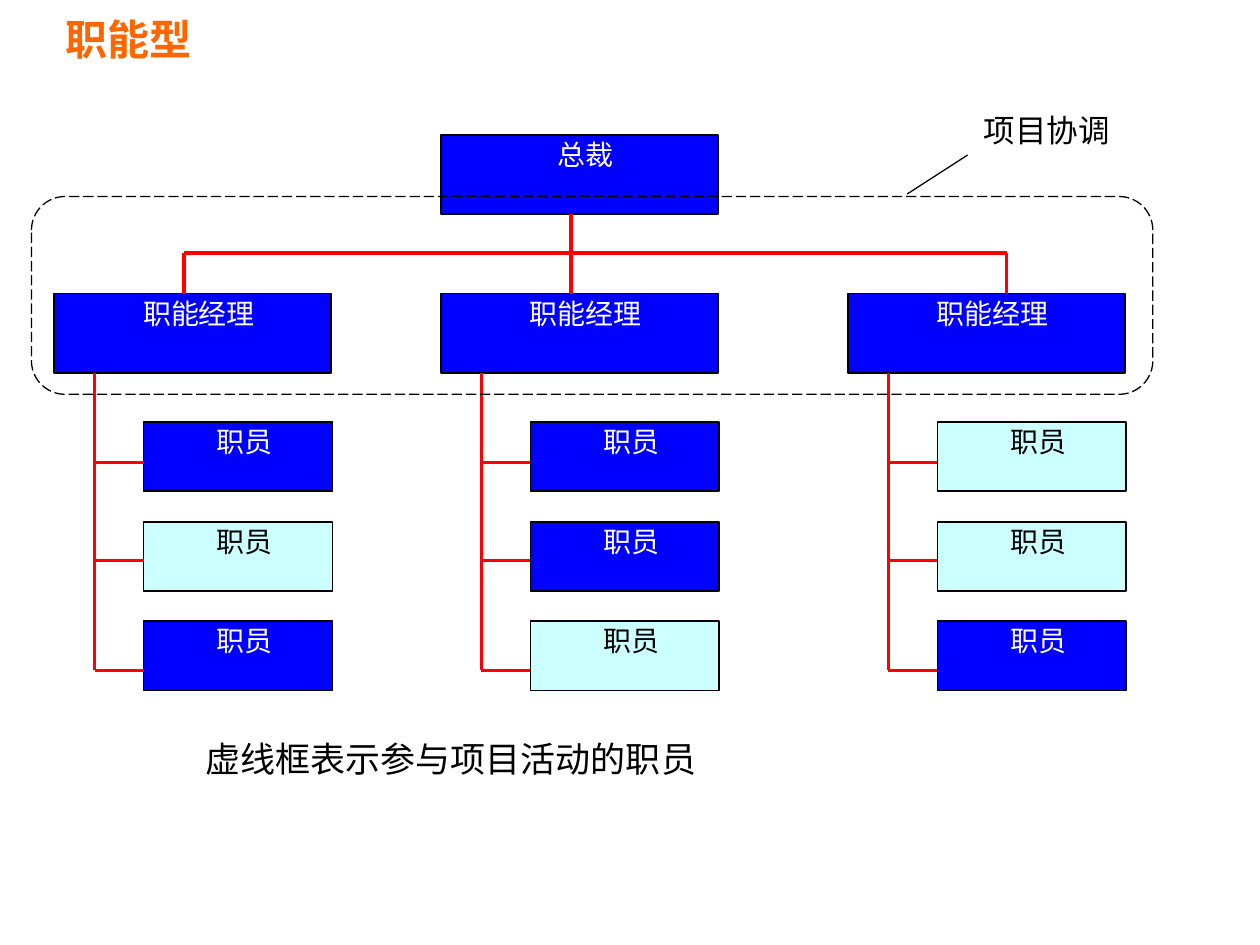
from dataclasses import dataclass
from pptx import Presentation as Deck
from pptx.dml.color import RGBColor as RGB
from pptx.enum.dml import MSO_LINE as Dash
from pptx.enum.shapes import MSO_CONNECTOR as Link, MSO_SHAPE as Form
from pptx.enum.text import MSO_ANCHOR as Anchor, PP_ALIGN as Align
from pptx.oxml.ns import qn
from pptx.util import Inches as In, Pt


@dataclass(frozen=True)
class Theme:
    blue: RGB = RGB(0, 0, 255)
    pale: RGB = RGB(204, 255, 255)
    red: RGB = RGB(255, 0, 0)
    gold: RGB = RGB(255, 102, 0)
    black: RGB = RGB(0, 0, 0)
    white: RGB = RGB(255, 255, 255)
    font: str = "Arial"
    alt: str = "Roboto"
    head: int = 24
    note: int = 20
    label: int = 18
    body: int = 16


look = Theme()
deck = Deck()
deck.slide_width, deck.slide_height = In(10), In(7.5)
page = deck.slides.add_slide(deck.slide_layouts[6])
items = page.shapes


def write(shape, text, size, color, pads, align=Align.LEFT, font=look.font):
    """Put one run of text in a shape and return its paragraph."""
    frame = shape.text_frame
    frame.word_wrap = True
    frame.vertical_anchor = Anchor.TOP
    (frame.margin_left, frame.margin_top,
     frame.margin_right, frame.margin_bottom) = map(In, pads)
    par = frame.paragraphs[0]
    par.alignment = align
    run = par.add_run()
    run.text = text
    run.font.size = Pt(size)
    run.font.name = font
    run.font.color.rgb = color
    return par


def draw(x1, y1, x2, y2, color=look.red, width=2):
    """Draw a straight line without a shadow."""
    line = items.add_connector(Link.STRAIGHT, *map(In, (x1, y1, x2, y2)))
    line.line.color.rgb = color
    line.line.width = Pt(width)
    props = line._element.spPr
    props.append(props.makeelement(qn("a:effectLst"), {}))


# Grid: three columns, one row of managers, three rows of staff
cols = [0.43, 3.5, 6.73]
wide, high = 2.2, 0.63
top, mid, bar = 1.07, 2.33, 2.01
inset, small, low = 0.71, 1.5, 0.55
rows = [3.35 + 0.79 * i for i in range(3)]
stem, drop = 0.32, 1.03
joins = [3.67, 4.45, 5.32]
tones = ["BPB", "BBP", "PPB"]

# Boxes: president, managers, then staff by column
boxes = [("总裁", cols[1], top, wide, high, "B")]
boxes += [("职能经理", x, mid, wide, high, "B") for x in cols]
boxes += [("职员", x + inset, y, small, low, tone)
          for x, marks in zip(cols, tones) for y, tone in zip(rows, marks)]
for text, x, y, w, h, tone in boxes:
    box = items.add_shape(Form.RECTANGLE, *map(In, (x, y, w, h)))
    box.shadow.inherit = False
    box.fill.solid()
    box.fill.fore_color.rgb = look.blue if tone == "B" else look.pale
    box.line.color.rgb = look.black
    box.line.width = Pt(1)
    ink = look.white if tone == "B" else look.black
    write(box, text, look.body, ink, (0.12, 0.02, 0.02, 0.02), Align.CENTER)

# Links from president to managers
draw(cols[1] + drop, top + high, cols[1] + drop, mid)
draw(cols[0] + drop, bar, cols[2] + 1.26, bar)
for x in (cols[0] + drop, cols[2] + 1.26):
    draw(x, bar, x, mid)

# Links from managers to staff
for x in cols:
    draw(x + stem, mid + high, x + stem, joins[-1])
    for y in joins:
        draw(x + stem, y, x + inset, y)

# Dashed frame with its pointer and label
draw(7.2, 1.54, 7.68, 1.23, look.black, 0.75)
ring = items.add_shape(Form.ROUNDED_RECTANGLE, *map(In, (0.25, 1.56, 8.9, 1.57)))
ring.adjustments[0] = 0.17
ring.shadow.inherit = False
ring.fill.background()
ring.line.color.rgb = look.black
ring.line.width = Pt(0.75)
ring.line.dash_style = Dash.LONG_DASH
label = items.add_textbox(*map(In, (7.68, 0.83, 1.26, 0.4)))
write(label, "项目协调", look.label, look.black, (0.1, 0.05, 0.1, 0.05),
      Align.CENTER, look.alt)

# Title
title = items.add_textbox(*map(In, (0.42, 0, 4.58, 0.62)))
par = write(title, "职能型", look.head, look.gold, (0.1, 0.05, 0.1, 0.05))
par.runs[0].font.bold = True
title.text_frame.vertical_anchor = Anchor.MIDDLE

# Note below the chart
note = items.add_textbox(*map(In, (1.58, 5.75, 6.83, 0.43)))
par = write(note, "虚线框表示参与项目活动的职员", look.note, look.black,
            (0.05, 0, 0.05, 0))
par.line_spacing = 1.3

deck.save("out.pptx")
